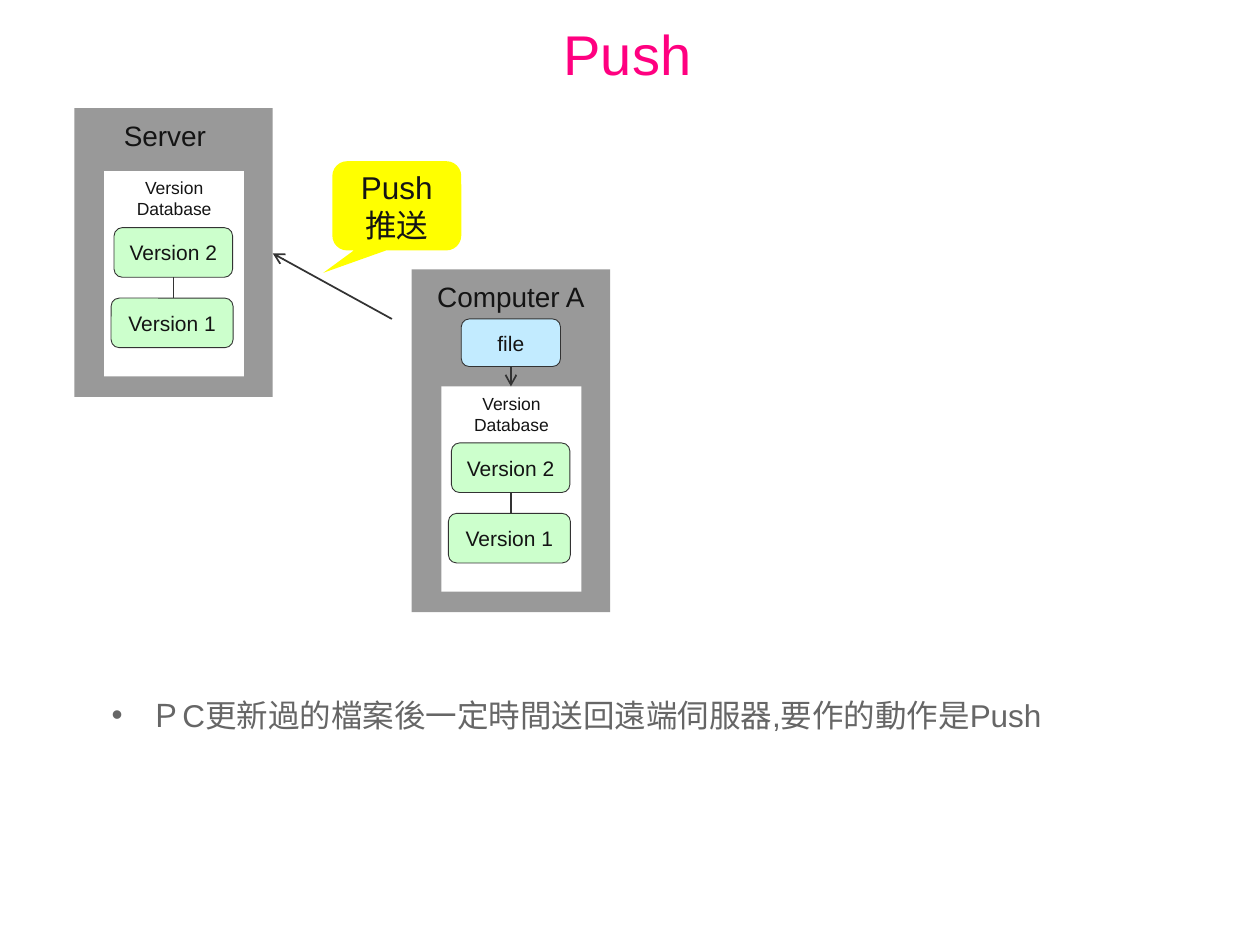
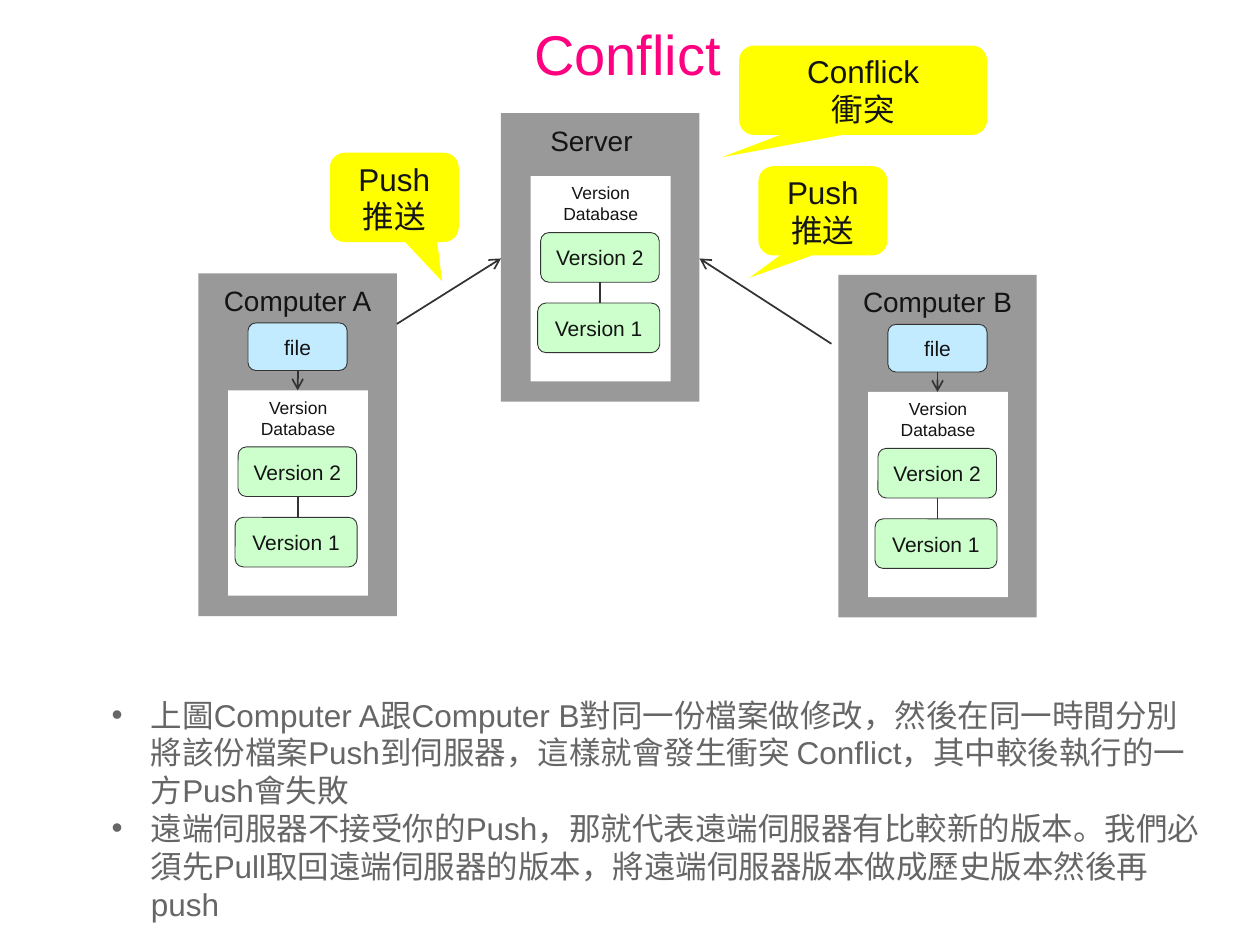
from dataclasses import dataclass

from lxml import etree
from pptx import Presentation
from pptx import util as u
from pptx.dml.color import RGBColor
from pptx.enum import shapes, text
from pptx.oxml.ns import qn

FONT = "Arial"
PINK, GREY, INK, SLATE = "FF0080", "999999", "141414", "666666"
WHITE, GREEN, BLUE, YELLOW, LINE = "FFFFFF", "CCFFCC", "C2EBFF", "FFFF00", "333333"
RECT = shapes.MSO_SHAPE.RECTANGLE
ROUNDED = shapes.MSO_SHAPE.ROUNDED_RECTANGLE
CALLOUT = shapes.MSO_SHAPE.ROUNDED_RECTANGULAR_CALLOUT
TOP, MIDDLE = text.MSO_ANCHOR.TOP, text.MSO_ANCHOR.MIDDLE
CENTER, LEFT = text.PP_ALIGN.CENTER, text.PP_ALIGN.LEFT


@dataclass(frozen=True)
class Machine:
    label: str
    x: float
    y: float
    has_file: bool = True


@dataclass(frozen=True)
class Arrow:
    x1: float
    y1: float
    x2: float
    y2: float


@dataclass(frozen=True)
class Bubble:
    lines: tuple[str, ...]
    x: float
    y: float
    width: float = 2.6
    pointer: tuple[float, float] = (-0.57, 0.75)


@dataclass(frozen=True)
class Page:
    title: str
    machines: tuple[Machine, ...]
    pushes: tuple[Arrow, ...]
    bubbles: tuple[Bubble, ...]
    points: tuple[str, ...]
    points_height: float


PUSH = ("Push", "推送")
PAGES = (
    Page(
        "Push",
        (Machine("Server", 1.5, 2.18, False), Machine("Computer A", 8.3, 5.43)),
        (Arrow(7.9, 6.43, 5.5, 5.11),),
        (Bubble(PUSH, 6.7, 3.25),),
        ("ＰC更新過的檔案後一定時間送回遠端伺服器,要作的動作是Push",),
        1.02,
    ),
    Page(
        "Conflict",
        (
            Machine("Server", 10.1, 2.28, False),
            Machine("Computer B", 16.9, 5.54),
            Machine("Computer A", 4, 5.51),
        ),
        (Arrow(16.76, 6.93, 14.1, 5.21), Arrow(8, 6.53, 10.1, 5.21)),
        (
            Bubble(PUSH, 15.29, 3.35),
            Bubble(PUSH, 6.65, 3.08, pointer=(0.37, 0.94)),
            Bubble(("Conflick", "衝突"), 14.9, 0.92, 5),
        ),
        (
            "上圖Computer A跟Computer B對同一份檔案做修改，然後在同一時間分別將該份檔案"
            "Push到伺服器，這樣就會發生衝突 Conflict，其中較後執行的一方Push會失敗",
            "遠端伺服器不接受你的Push，那就代表遠端伺服器有比較新的版本。我們必須先Pull"
            "取回遠端伺服器的版本，將遠端伺服器版本做成歷史版本然後再push",
        ),
        4.11,
    ),
)


def rgb(value: str) -> RGBColor:
    return RGBColor.from_string(value)


def write(frame, lines, size: float, colour: str = INK, anchor=MIDDLE, align=CENTER) -> None:
    frame.word_wrap = True
    frame.vertical_anchor = anchor
    for index, line in enumerate(lines):
        paragraph = frame.paragraphs[0] if index == 0 else frame.add_paragraph()
        paragraph.text = line
        paragraph.alignment = align
        paragraph.font.name = FONT
        paragraph.font.size = u.Pt(size)
        paragraph.font.color.rgb = rgb(colour)


def add_box(parent, kind, x: float, y: float, width: float, height: float, fill: str, outlined: bool = False):
    box = parent.add_shape(kind, u.Cm(x), u.Cm(y), u.Cm(width), u.Cm(height))
    box.shadow.inherit = False
    box.fill.solid()
    box.fill.fore_color.rgb = rgb(fill)
    if outlined:
        box.line.color.rgb = rgb(LINE)
        box.line.width = u.Pt(0.5)
    else:
        box.line.fill.background()
    return box


def add_label(parent, x: float, y: float, width: float, height: float):
    return parent.add_textbox(u.Cm(x), u.Cm(y), u.Cm(width), u.Cm(height)).text_frame


def add_line(parent, route: Arrow, arrowhead: bool = True) -> None:
    link = parent.add_connector(
        shapes.MSO_CONNECTOR.STRAIGHT, u.Cm(route.x1), u.Cm(route.y1), u.Cm(route.x2), u.Cm(route.y2)
    )
    link.line.color.rgb = rgb(LINE)
    link.line.width = u.Pt(1)
    properties = link.element.spPr
    if arrowhead:
        etree.SubElement(properties.find(qn("a:ln")), qn("a:tailEnd"), type="arrow")
    etree.SubElement(properties, qn("a:effectLst"))


def add_machine(slide, machine: Machine) -> None:
    parts = slide.shapes.add_group_shape().shapes
    x, y = machine.x, machine.y
    height, database_top, label_width = (6.91, 2.36, 3.58) if machine.has_file else (5.82, 1.27, 3.23)
    add_box(parts, RECT, x, y, 4, height, GREY)
    left, top = x + 0.6, y + database_top
    database = add_box(parts, RECT, left, top, 2.82, 4.14, WHITE)
    write(database.text_frame, ["Version Database"], 10, anchor=TOP)
    label = add_label(parts, x + 0.21, y + 0.08, label_width, 0.94)
    write(label, [machine.label], 16, anchor=TOP)
    for name, dx, dy, width in (("Version 2", 0.2, 1.14, 2.39), ("Version 1", 0.14, 2.56, 2.46)):
        version = add_box(parts, ROUNDED, left + dx, top + dy, width, 1, GREEN, True)
        write(version.text_frame, [name], 12)
    add_line(parts, Arrow(left + 1.4, top + 2.14, left + 1.4, top + 2.56), False)
    if machine.has_file:
        file = add_box(parts, ROUNDED, x + 1, y + 1, 2, 0.96, BLUE, True)
        write(file.text_frame, ["file"], 12)
        add_line(parts, Arrow(x + 2, y + 1.96, x + 2, top))


def add_bubble(slide, bubble: Bubble) -> None:
    callout = add_box(slide.shapes, CALLOUT, bubble.x, bubble.y, bubble.width, 1.8, YELLOW)
    callout.adjustments[0], callout.adjustments[1] = bubble.pointer
    write(callout.text_frame, bubble.lines, 18)


def add_points(slide, page: Page) -> None:
    frame = add_label(slide.shapes, 2, 13.9, 22.58, page.points_height)
    write(frame, page.points, 18, SLATE, TOP, LEFT)
    for paragraph in frame.paragraphs:
        properties = paragraph._p.get_or_add_pPr()
        properties.set("marL", str(u.Cm(0.79)))
        properties.set("indent", str(-u.Cm(0.79)))
        properties.insert(0, etree.Element(qn("a:buFont"), typeface=FONT))
        properties.insert(1, etree.Element(qn("a:buChar"), char="•"))


def add_title(slide, wording: str) -> None:
    title = slide.shapes.title
    title.left, title.top, title.width, title.height = u.Cm(1.22), u.Cm(0.61), u.Cm(22.86), u.Cm(0.91)
    title.text_frame.margin_top = title.text_frame.margin_bottom = 0
    title.text_frame.auto_size = text.MSO_AUTO_SIZE.NONE
    write(title.text_frame, [wording], 32, PINK)


def main() -> None:
    deck = Presentation()
    deck.slide_width, deck.slide_height = u.Cm(25.4), u.Cm(19.05)
    for page in PAGES:
        slide = deck.slides.add_slide(deck.slide_layouts[5])
        add_title(slide, page.title)
        for machine in page.machines:
            add_machine(slide, machine)
        for push in page.pushes:
            add_line(slide.shapes, push)
        for bubble in page.bubbles:
            add_bubble(slide, bubble)
        add_points(slide, page)
    deck.save("out.pptx")


if __name__ == "__main__":
    main()
